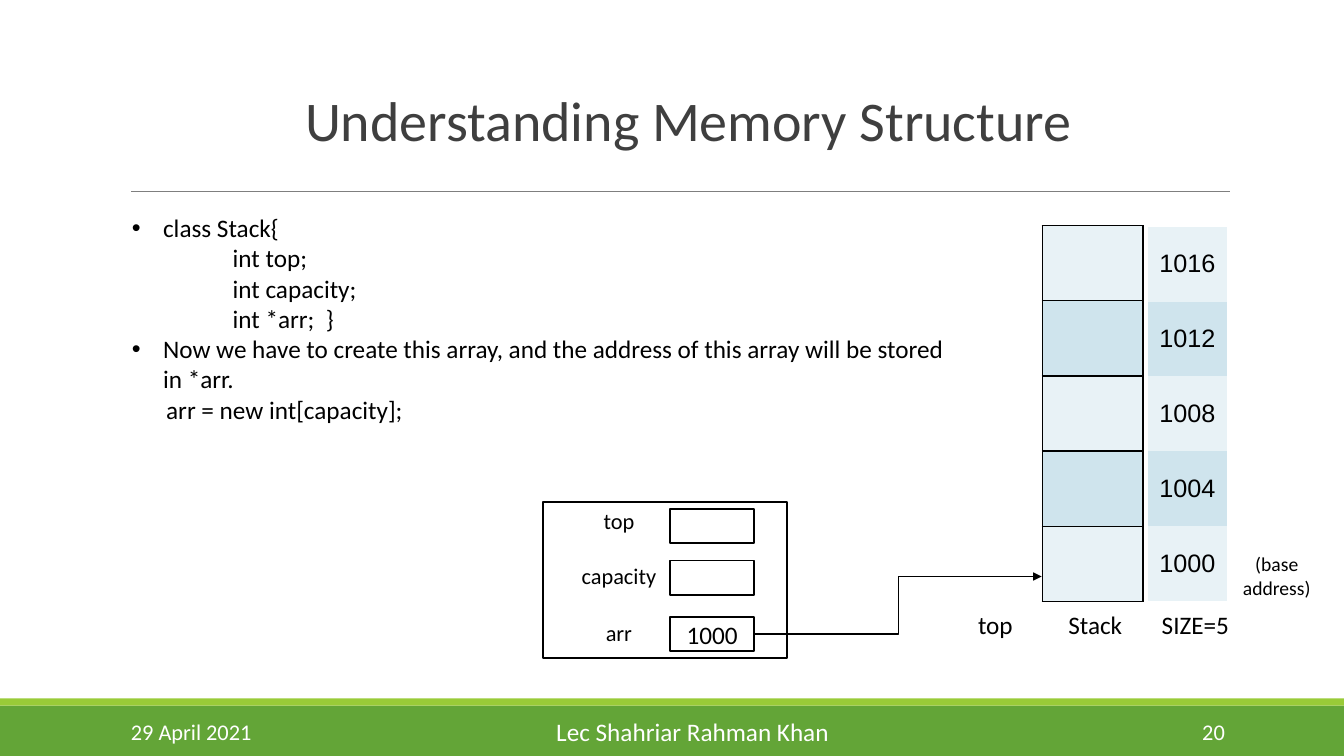
from typing import NamedTuple

from lxml import etree
from pptx import Presentation
from pptx import util as u
from pptx.dml.color import RGBColor
from pptx.enum import shapes, text
from pptx.oxml import ns

WIDTH, HEIGHT = u.Inches(13.33), u.Inches(7.5)
COLUMN, ROW = WIDTH / 40, HEIGHT / 30

BLACK = RGBColor(0x00, 0x00, 0x00)
WHITE = RGBColor(0xFF, 0xFF, 0xFF)
TITLE_GRAY = RGBColor(0x3F, 0x3F, 0x3F)
RULE_GRAY = RGBColor(0x7F, 0x7F, 0x7F)
GREEN = RGBColor(0x63, 0xA5, 0x37)
LIME = RGBColor(0x99, 0xCB, 0x38)
BANDS = (RGBColor(0xE8, 0xF2, 0xF6), RGBColor(0xCF, 0xE4, 0xED))

LEFT, CENTER, RIGHT = text.PP_ALIGN.LEFT, text.PP_ALIGN.CENTER, text.PP_ALIGN.RIGHT
TOP, MIDDLE, BOTTOM = text.MSO_ANCHOR.TOP, text.MSO_ANCHOR.MIDDLE, text.MSO_ANCHOR.BOTTOM


class Box(NamedTuple):
    x: float
    y: float
    w: float
    h: float

    def inner(self, x, y, w, h):
        return Box(self.x + x, self.y + y, w, h)

    def lengths(self):
        return [u.Emu(round(n)) for n in
                (self.x * COLUMN, self.y * ROW, self.w * COLUMN, self.h * ROW)]


def add_span(para, words, size, color, font="Calibri"):
    span = para.add_run()
    span.text = words
    span.font.name, span.font.size = font, u.Pt(size)
    span.font.color.rgb = color


def add_label(page, box, words, size=18, color=BLACK, align=LEFT, anchor=TOP, wrap=True):
    frame = page.shapes.add_textbox(*box.lengths()).text_frame
    frame.word_wrap, frame.vertical_anchor = wrap, anchor
    para = frame.paragraphs[0]
    para.alignment = align
    add_span(para, words, size, color)


def add_rect(page, box, fill, outline=None):
    rect = page.shapes.add_shape(shapes.MSO_SHAPE.RECTANGLE, *box.lengths())
    rect.shadow.inherit = False
    rect.fill.solid()
    rect.fill.fore_color.rgb = fill
    if outline is None:
        rect.line.fill.background()
    else:
        rect.line.color.rgb, rect.line.width = outline, u.Pt(1.25)
    return rect


def add_line(page, kind, start, end, color, width):
    (x1, y1), (x2, y2) = [(round(x * COLUMN), round(y * ROW)) for x, y in (start, end)]
    line = page.shapes.add_connector(kind, x1, y1, x2, y2)
    line.line.color.rgb, line.line.width = color, u.Pt(width)
    etree.SubElement(line._element.spPr, ns.qn("a:effectLst"))
    return line


def set_borders(cell, color):
    props = cell._tc.get_or_add_tcPr()
    for place, side in enumerate(("lnL", "lnR", "lnT", "lnB")):
        edge = etree.Element(ns.qn("a:" + side), w=str(u.Pt(1)))
        if color is None:
            etree.SubElement(edge, ns.qn("a:noFill"))
        else:
            fill = etree.SubElement(edge, ns.qn("a:solidFill"))
            etree.SubElement(fill, ns.qn("a:srgbClr"), val=str(color))
        props.insert(place, edge)


def add_cells(page, box, values, border):
    table = page.shapes.add_table(len(values), 1, *box.lengths()).table
    table.first_row = table.horz_banding = False
    for index, value in enumerate(values):
        cell = table.cell(index, 0)
        cell.fill.solid()
        cell.fill.fore_color.rgb = BANDS[index % 2]
        cell.vertical_anchor = MIDDLE
        set_borders(cell, border)
        if value:
            para = cell.text_frame.paragraphs[0]
            para.alignment = CENTER
            add_span(para, value, 18, BLACK, "Arial")


def add_heading(page, box):
    title = page.shapes.title
    title.left, title.top, title.width, title.height = box.inner(1.59, 0, 30, 4.48).lengths()
    frame = title.text_frame
    frame.auto_size, frame.vertical_anchor = text.MSO_AUTO_SIZE.NONE, BOTTOM
    para = frame.paragraphs[0]
    para.alignment, para.line_spacing = CENTER, 0.85
    add_span(para, "Understanding Memory Structure", 40, TITLE_GRAY)
    bottom = box.y + box.h
    add_line(page, shapes.MSO_CONNECTOR.STRAIGHT, (box.x, bottom),
             (box.x + box.w, bottom), RULE_GRAY, 0.75)


def add_footer(page, box):
    add_rect(page, box.inner(0, 0.28, box.w, box.h - 0.28), GREEN)
    add_rect(page, box.inner(0, 0, box.w, 0.28), LIME)
    for x, w, words, size, align in (
        (3.6, 8.1, "29 April 2021", 16, LEFT),
        (16.26, 8.97, "Lec Shahriar Rahman Khan", 18, LEFT),
        (32.46, 4.29, "20", 16, RIGHT),
    ):
        add_label(page, box.inner(x, 0.52, w, 1.6), words, size, WHITE, align, MIDDLE)


def add_explanation(page, box):
    frame = page.shapes.add_textbox(*box.lengths()).text_frame
    frame.word_wrap = True
    for index, (words, margin, bullet) in enumerate((
        ("class Stack{", 0.31, True),
        ("int top;", 1, False),
        ("int capacity;", 1, False),
        ("int *arr;  }", 1, False),
        ("Now we have to create this array, and the address of this array "
         "will be stored in *arr.", 0.31, True),
        ("arr = new int[capacity];", 0.34, False),
    )):
        para = frame.add_paragraph() if index else frame.paragraphs[0]
        add_span(para, words, 18, BLACK)
        props = para._p.get_or_add_pPr()
        props.set("marL", str(u.Inches(margin)))
        props.set("indent", str(-u.Inches(margin) if bullet else 0))
        if bullet:
            color = etree.SubElement(props, ns.qn("a:buClr"))
            etree.SubElement(color, ns.qn("a:srgbClr"), val=str(BLACK))
            etree.SubElement(props, ns.qn("a:buFont"), typeface="Arial")
            etree.SubElement(props, ns.qn("a:buChar"), char="•")


def add_stack_object(page, box):
    add_rect(page, box, WHITE, BLACK)
    for name, label_y, slot_y, value in (
        ("top", 0, 0.28, ""),
        ("capacity", 2.2, 2.32, ""),
        ("arr", 4.44, 4.56, "1000"),
    ):
        slot = add_rect(page, box.inner(3.78, slot_y, 2.49, 1.36), WHITE, BLACK)
        if value:
            slot.text_frame.vertical_anchor = MIDDLE
            para = slot.text_frame.paragraphs[0]
            para.alignment = CENTER
            add_span(para, value, 18, BLACK)
        add_label(page, box.inner(0.6, label_y, 3.3, 1.48), name, 16, align=CENTER)


def add_memory(page, box):
    addresses = [str(address) for address in range(1016, 999, -4)]
    add_cells(page, box.inner(3.27, 0, 3, 14.9), [""] * len(addresses), BLACK)
    add_cells(page, box.inner(6.42, 0.04, 2.34, 14.85), addresses, None)
    for x, w, words, align in (
        (0, 3.75, "top", CENTER),
        (3.75, 2.6, "Stack", LEFT),
        (6.53, 3.2, "SIZE=5", LEFT),
    ):
        add_label(page, box.inner(x, 15.02, w, 1.6), words, align=align)
    add_label(page, box.inner(8.25, 12.76, 4, 1.36), "(base address)", 14,
              align=CENTER, wrap=False)


def add_pointer(page, start, end):
    arrow = add_line(page, shapes.MSO_CONNECTOR.ELBOW, start, end, BLACK, 1)
    outline = arrow._element.spPr.find(ns.qn("a:ln"))
    etree.SubElement(outline, ns.qn("a:tailEnd"), type="triangle")


def main():
    deck = Presentation()
    deck.slide_width, deck.slide_height = WIDTH, HEIGHT
    page = deck.slides.add_slide(deck.slide_layouts[5])
    add_footer(page, Box(0, 27.72, 40, 2.28))
    add_heading(page, Box(3.9, 1.8, 32.7, 5.8))
    add_explanation(page, Box(3.63, 8.24, 25.11, 18.56))
    add_memory(page, Box(27.75, 8.96, 12.25, 16.62))
    add_stack_object(page, Box(16.17, 19.92, 7.26, 6.2))
    add_pointer(page, (22.47, 25.16), (31, 22.88))
    deck.save("out.pptx")


if __name__ == "__main__":
    main()
